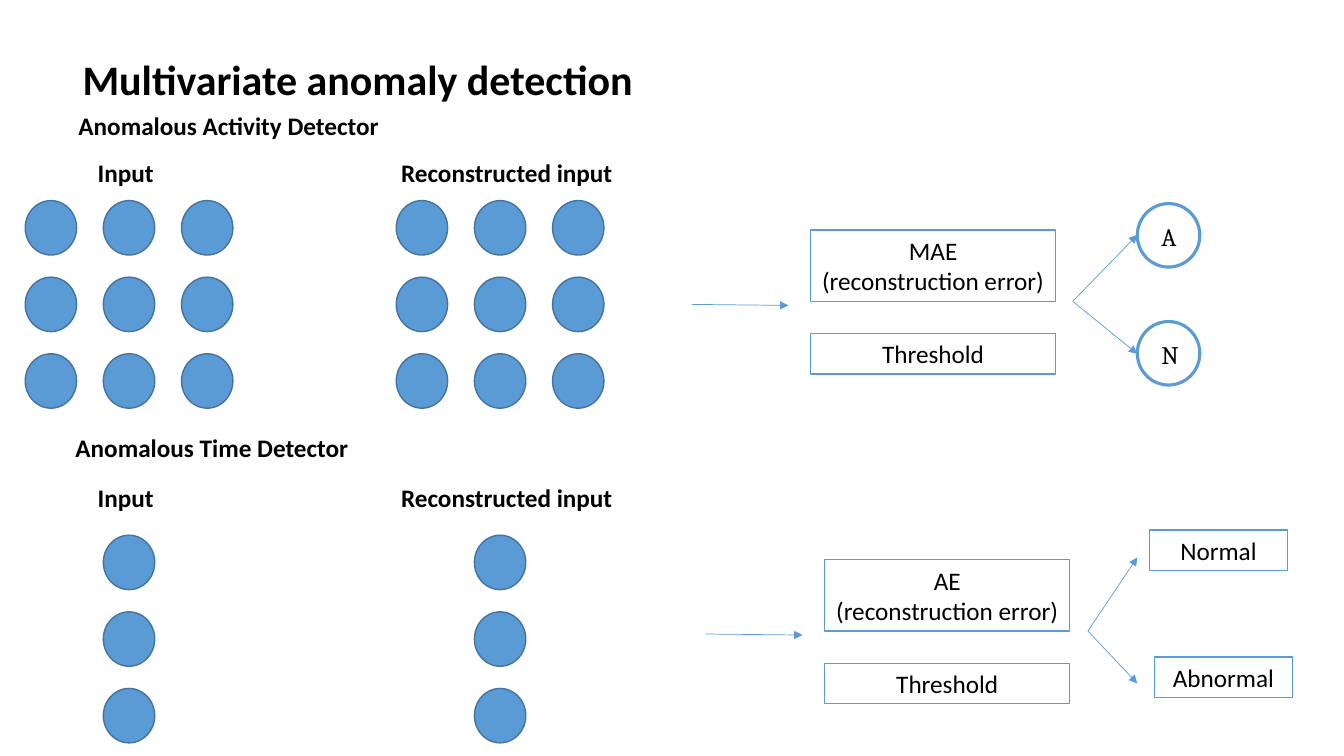
import pptx
import pptx.dml.color
import pptx.enum.shapes
import pptx.enum.text
import pptx.oxml
import pptx.util
from pptx.util import Inches

BLACK = pptx.dml.color.RGBColor(0x00, 0x00, 0x00)
WHITE = pptx.dml.color.RGBColor(0xFF, 0xFF, 0xFF)
BLUE = pptx.dml.color.RGBColor(0x5B, 0x9B, 0xD5)
DARK_BLUE = pptx.dml.color.RGBColor(0x43, 0x73, 0x9E)
SHAPE_TYPE = pptx.enum.shapes.MSO_SHAPE
ALIGN = pptx.enum.text.PP_ALIGN


class DetectorSlide:
    """Draws the elements of the anomaly detection slide in one style."""

    body_font = "Calibri"
    ring_font = "Cambria"
    body_size = 18
    node_columns = (0, 0.775, 1.55)
    node_rows = (0, 0.76, 1.52)

    def __init__(self, presentation):
        self.slide = presentation.slides.add_slide(presentation.slide_layouts[6])

    def add_text(self, shape, lines, size=body_size, font=body_font, bold=False, align=ALIGN.LEFT):
        frame = shape.text_frame
        frame.word_wrap = True
        for index, line in enumerate(lines):
            paragraph = frame.add_paragraph() if index else frame.paragraphs[0]
            paragraph.alignment = align
            run = paragraph.add_run()
            run.text = line
            run.font.name = font
            run.font.size = pptx.util.Pt(size)
            run.font.bold = bold
            run.font.color.rgb = BLACK

    def outline(self, kind, left, top, width, height, fill, line, weight, shapes=None):
        shapes = shapes or self.slide.shapes
        shape = shapes.add_shape(kind, Inches(left), Inches(top), Inches(width), Inches(height))
        shape.shadow.inherit = False
        if fill is None:
            shape.fill.background()
        else:
            shape.fill.solid()
            shape.fill.fore_color.rgb = fill
        shape.line.color.rgb = line
        shape.line.width = pptx.util.Pt(weight)
        return shape

    def heading(self, text, left, top, width, height=0.4, size=body_size):
        box = self.slide.shapes.add_textbox(
            Inches(left), Inches(top), Inches(width), Inches(height))
        self.add_text(box, [text], size=size, bold=True)

    def nodes(self, left, top, columns):
        for column in columns:
            for row in self.node_rows:
                self.outline(SHAPE_TYPE.OVAL, left + column, top + row, 0.51, 0.54,
                             BLUE, DARK_BLUE, 1)

    def box(self, lines, left, top, width=2.43, height=0.4):
        shape = self.outline(SHAPE_TYPE.RECTANGLE, left, top, width, height, WHITE, BLUE, 1)
        self.add_text(shape, lines, align=ALIGN.CENTER)

    def ring(self, letter, left, top):
        group = self.slide.shapes.add_group_shape()
        self.outline(SHAPE_TYPE.OVAL, left, top, 0.62, 0.63, None, BLUE, 2.25, group.shapes)
        label = group.shapes.add_textbox(
            Inches(left + 0.14), Inches(top + 0.13), Inches(0.45), Inches(0.4))
        self.add_text(label, [letter], font=self.ring_font)

    def arrow(self, start, end):
        connector = self.slide.shapes.add_connector(
            pptx.enum.shapes.MSO_CONNECTOR.STRAIGHT,
            *(Inches(value) for value in (*start, *end)))
        connector.line.color.rgb = BLUE
        connector.line.width = pptx.util.Pt(0.5)
        properties = connector._element.spPr
        namespace = 'xmlns:a="http://schemas.openxmlformats.org/drawingml/2006/main"'
        properties.ln.append(
            pptx.oxml.parse_xml(f'<a:tailEnd {namespace} type="triangle"/>'))
        properties.append(pptx.oxml.parse_xml(f'<a:effectLst {namespace}/>'))

    def detector(self, error, columns, label_top, node_top, error_left, error_top):
        for title, title_left, width, node_left in (
                ("Input", 0.87, 0.93, 0.25),
                ("Reconstructed input", 3.88, 2.44, 3.93)):
            self.heading(title, title_left, label_top, width)
            self.nodes(node_left, node_top, columns)
        self.arrow((error_left - 1.18, error_top + 0.74), (error_left - 0.22, error_top + 0.75))
        self.box([error, "(reconstruction error)"], error_left, error_top, height=0.71)
        self.box(["Threshold"], error_left, error_top + 1.03)

    def decision(self, start, ends):
        for end in ends:
            self.arrow(start, end)


def main():
    presentation = pptx.Presentation()
    presentation.slide_width = Inches(13.33)
    presentation.slide_height = Inches(7.5)
    slide = DetectorSlide(presentation)

    slide.heading("Multivariate anomaly detection", 0.72, 0.48, 6.51, 0.61, size=30)

    slide.heading("Anomalous Activity Detector", 0.68, 1.05, 3.62)
    slide.detector("MAE", slide.node_columns, 1.51, 1.99, 8.04, 2.28)
    slide.decision((10.64, 2.99), ((11.28, 2.33), (11.28, 3.51)))
    slide.ring("A", 11.28, 2.02)
    slide.ring("N", 11.28, 3.19)

    slide.heading("Anomalous Time Detector", 0.65, 4.24, 3.62)
    slide.detector("AE", slide.node_columns[1:2], 4.74, 5.31, 8.18, 5.55)
    slide.decision((10.79, 6.26), ((11.28, 5.53), (11.28, 6.78)))
    slide.box(["Normal"], 11.4, 5.26, width=1.37)
    slide.box(["Abnormal"], 11.45, 6.52, width=1.37)

    presentation.save("out.pptx")


if __name__ == "__main__":
    main()
